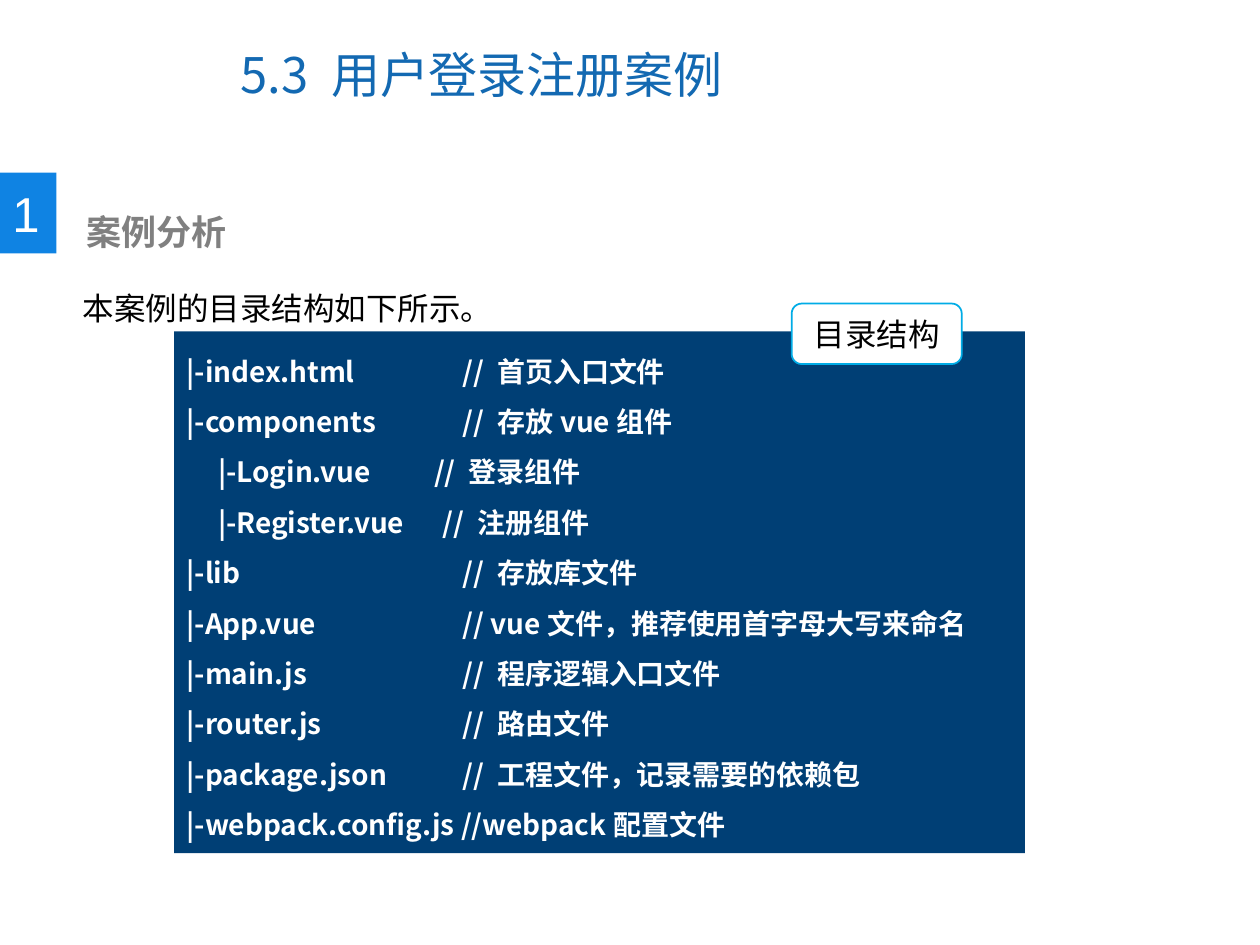
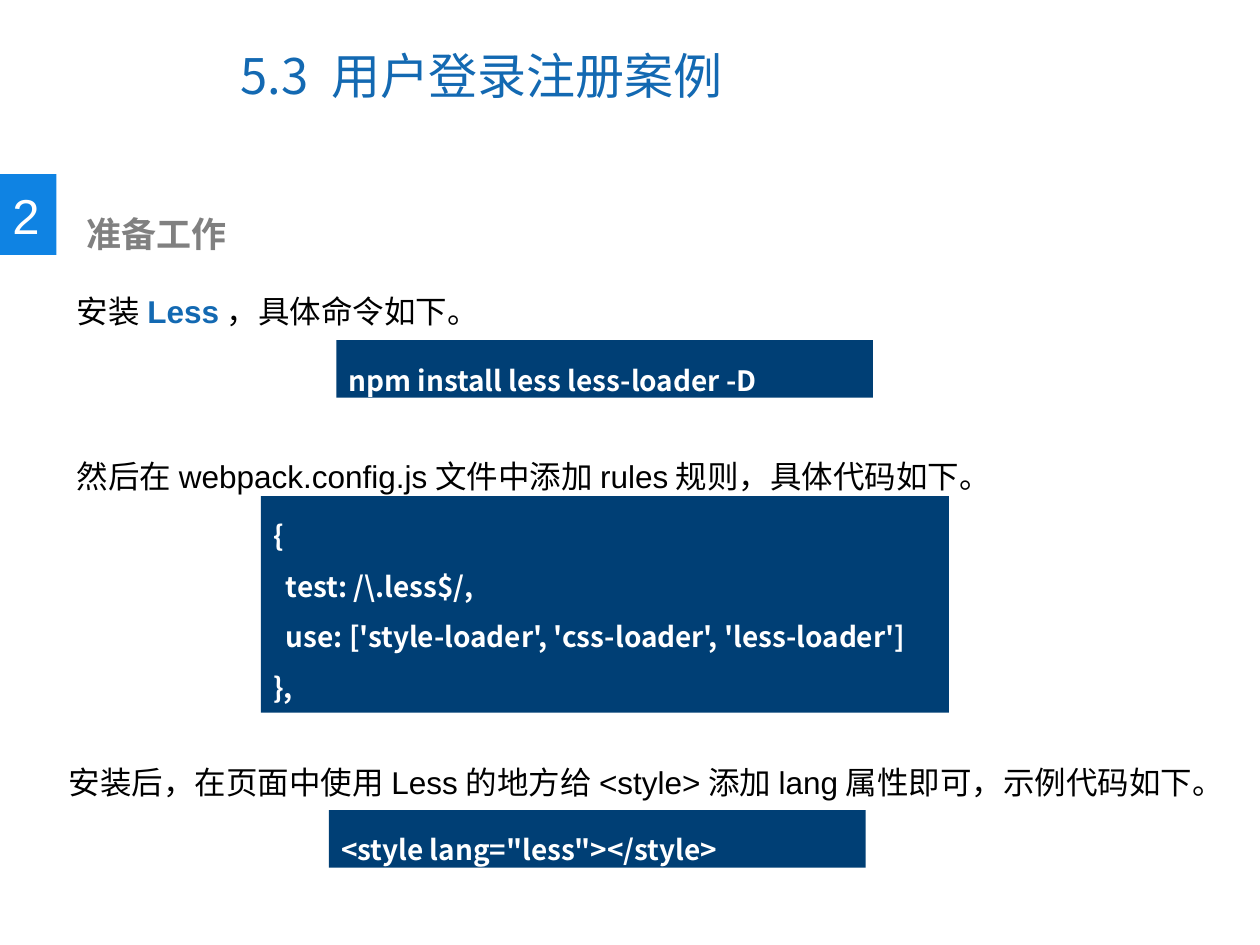
from lxml.etree import SubElement
from pptx import Presentation
from pptx.dml.color import RGBColor
from pptx.enum.shapes import MSO_SHAPE
from pptx.enum.text import MSO_ANCHOR, PP_ALIGN
from pptx.oxml.ns import qn
from pptx.util import Cm, Pt

COLORS = {
    "title": "1369B2",
    "number": "0F83E3",
    "heading": "808080",
    "code": "003F75",
    "label_line": "00ACE6",
    "white": "FFFFFF",
    "black": "000000",
}
CJK = "Noto Sans CJK SC"
LATIN = "Arial"
TITLE = "5.3 用户登录注册案例"

DIRECTORY = [
    ("|-index.html\t// 首页入口文件", 5.57),
    ("|-components\t// 存放vue组件", 5.57),
    ("     |-Login.vue\t// 登录组件", 4.99),
    ("     |-Register.vue\t// 注册组件", 5.17),
    ("|-lib\t// 存放库文件", 5.57),
    ("|-App.vue\t// vue文件，推荐使用首字母大写来命名", 5.57),
    ("|-main.js\t// 程序逻辑入口文件", 5.57),
    ("|-router.js\t// 路由文件", 5.57),
    ("|-package.json\t// 工程文件，记录需要的依赖包", 5.57),
    ("|-webpack.config.js //webpack配置文件", None),
]
LESS_RULE = [
    "{",
    "  test: /\\.less$/,",
    "  use: ['style-loader', 'css-loader', 'less-loader']",
    "},",
]


def style_span(span, size, color, font=LATIN, bold=False):
    span.font.size = Pt(size)
    span.font.bold = bold
    span.font.name = font
    span.font.color.rgb = RGBColor.from_string(COLORS[color])
    east_asian = SubElement(span.font._element, qn("a:ea"))
    east_asian.set("typeface", CJK)


def style_frame(frame, *style, spacing=None, align=PP_ALIGN.LEFT):
    for paragraph in frame.paragraphs:
        paragraph.alignment = align
        if spacing:
            paragraph.line_spacing = spacing
        for span in paragraph.runs:
            style_span(span, *style)


def add_text(page, box, text, *style, spacing=None, anchor=MSO_ANCHOR.TOP):
    frame = page.shapes.add_textbox(*map(Cm, box)).text_frame
    frame.word_wrap = True
    frame.vertical_anchor = anchor
    frame.text = text
    style_frame(frame, *style, spacing=spacing)
    return frame


def add_panel(page, box, fill, kind=MSO_SHAPE.RECTANGLE):
    panel = page.shapes.add_shape(kind, *map(Cm, box))
    panel.shadow.inherit = False
    panel.fill.solid()
    panel.fill.fore_color.rgb = RGBColor.from_string(COLORS[fill])
    panel.line.fill.background()
    return panel


def add_header(page, top, number, heading):
    add_text(page, (4.6, top, 13.11, 2.16), TITLE, 28, "title", CJK,
             anchor=MSO_ANCHOR.MIDDLE)
    marker = add_panel(page, (0, top + 3.07, 1.14, 1.63), "number")
    marker.text_frame.text = number
    style_frame(marker.text_frame, 28, "white")
    add_text(page, (1.5, top + 3.71, 12.78, 1.12), heading,
             20, "heading", LATIN, True)


def add_note(page, left, top, text):
    return add_text(page, (left, top, 23.2, 1.8), text, 18, "black", spacing=2)


def add_code(page, box, lines, stops=()):
    frame = add_panel(page, box, "code").text_frame
    frame.vertical_anchor = MSO_ANCHOR.TOP
    frame.text = "\n".join(lines)
    for paragraph, stop in zip(frame.paragraphs, stops):
        if stop:
            tabs = SubElement(paragraph._p.get_or_add_pPr(), qn("a:tabLst"))
            SubElement(tabs, qn("a:tab"), pos=str(Cm(stop)), algn="l")
    style_frame(frame, 16, "white", CJK, True, spacing=1.5)


def add_directory(page, box):
    left, top, width, height = box
    lines, stops = zip(*DIRECTORY)
    add_code(page, box, lines, stops)
    label = add_panel(page, (left + width - 4.7, top - 0.56, 3.43, 1.22),
                      "white", MSO_SHAPE.ROUNDED_RECTANGLE)
    label.line.color.rgb = RGBColor.from_string(COLORS["label_line"])
    label.line.width = Pt(1)
    label.text_frame.text = "目录结构"
    style_frame(label.text_frame, 18, "black", align=PP_ALIGN.CENTER)


def build_analysis(page):
    add_header(page, 0.41, "1", "案例分析")
    add_note(page, 1.42, 4.93, "本案例的目录结构如下所示。")
    add_directory(page, (3.51, 6.68, 17.15, 10.52))


def build_preparation(page):
    add_header(page, 0.44, "2", "准备工作")
    paragraph = add_note(page, 1.3, 5.0, "安装").paragraphs[0]
    for text, color, bold in (("Less", "title", True),
                              ("，具体命令如下。", "black", False)):
        span = paragraph.add_run()
        span.text = text
        style_span(span, 18, color, LATIN, bold)
    add_code(page, (6.78, 6.86, 10.82, 1.16), ["npm install less less-loader -D"])
    add_note(page, 1.3, 8.33,
             "然后在webpack.config.js文件中添加rules规则，具体代码如下。")
    add_code(page, (5.26, 10, 13.87, 4.37), LESS_RULE)
    add_note(page, 1.14, 14.5,
             "安装后，在页面中使用Less的地方给<style>添加lang属性即可，示例代码如下。")
    add_code(page, (6.63, 16.33, 10.82, 1.16), ['<style lang="less"></style>'])


def main():
    deck = Presentation()
    deck.slide_width, deck.slide_height = Cm(25.4), Cm(19.05)
    for build in (build_analysis, build_preparation):
        build(deck.slides.add_slide(deck.slide_layouts[6]))
    deck.save("out.pptx")


if __name__ == "__main__":
    main()
